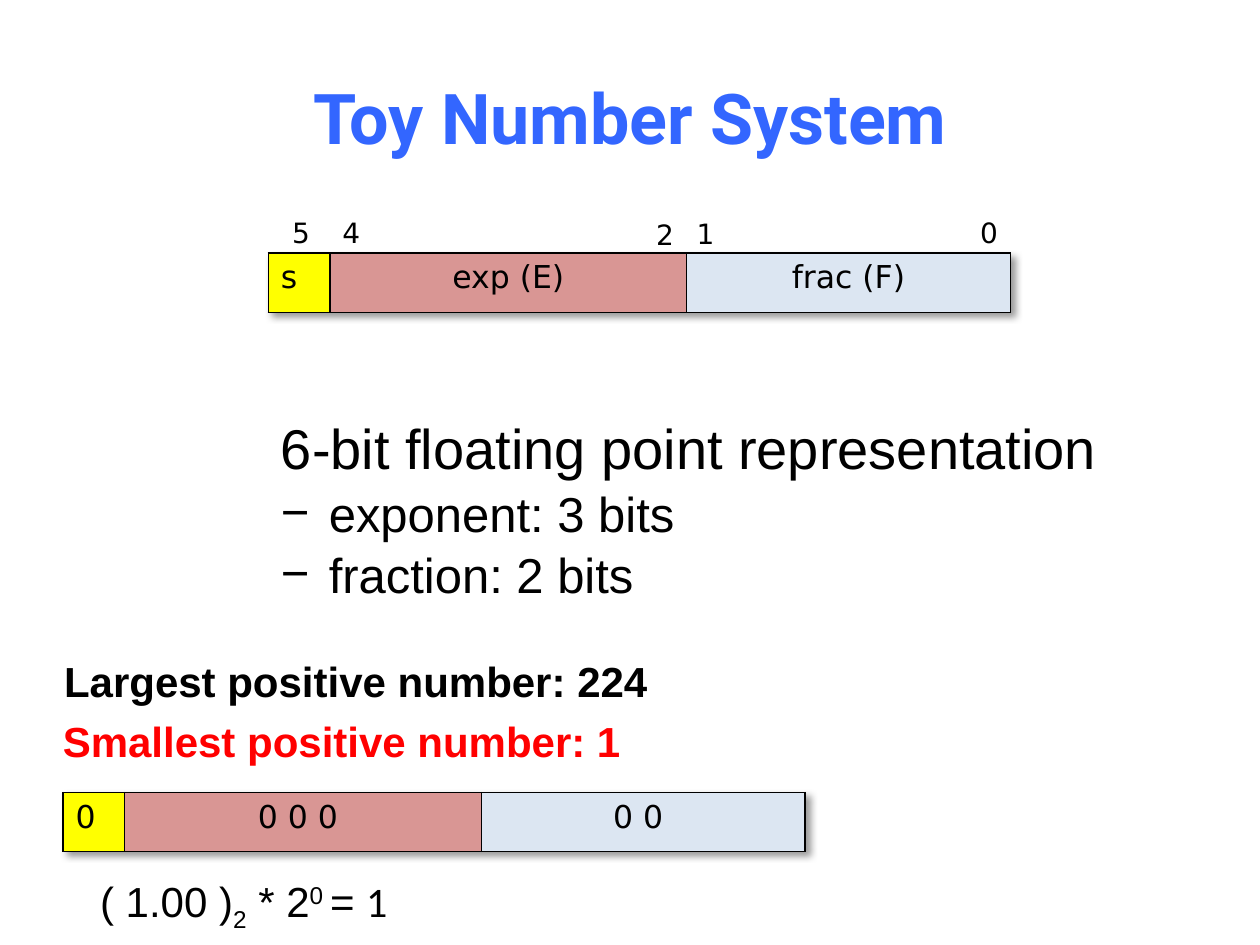
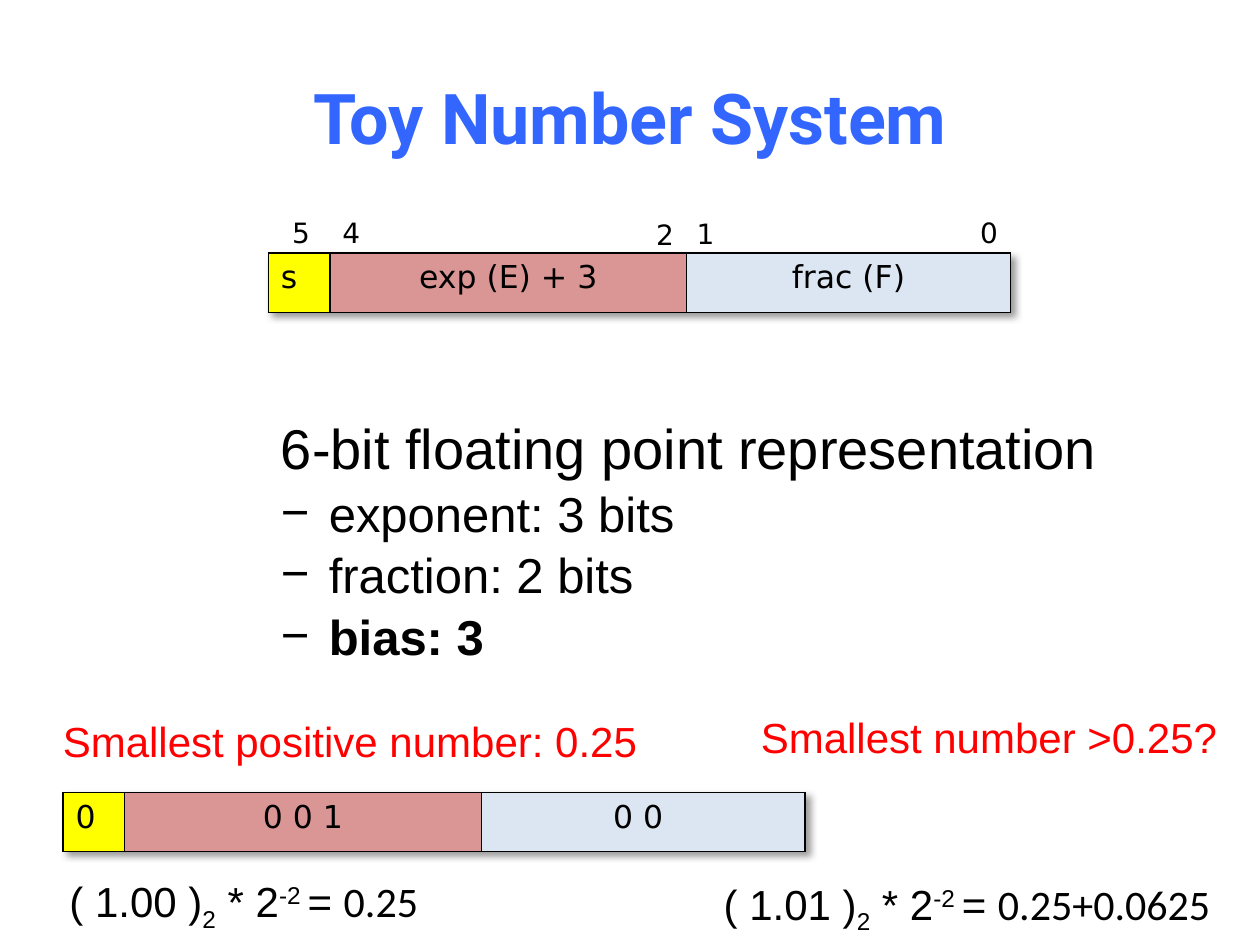
from dataclasses import dataclass

from lxml.etree import SubElement
from pptx import Presentation
from pptx.dml.color import RGBColor
from pptx.enum.text import MSO_ANCHOR, MSO_AUTO_SIZE as AutoSize, PP_ALIGN as Align
from pptx.oxml import parse_xml
from pptx.oxml.ns import nsdecls, qn
from pptx.util import Inches, Pt


@dataclass(frozen=True)
class Theme:
    title_blue: str = "3366FF"
    ink: str = "000000"
    red: str = "FF0000"
    field_fills: tuple = ("FFFF00", "D99694", "DCE6F2")
    title_font: str = "Roboto"
    body_font: str = "Arial"
    field_font: str = "DejaVu Sans"
    result_font: str = "Calibri"
    title_size: int = 40
    heading_size: int = 32
    item_size: int = 28
    line_size: int = 24
    field_size: int = 18
    bit_size: int = 16


THEME = Theme()
WIDTH, HEIGHT = Inches(10), Inches(7.5)
COLUMNS, ROWS = 100, 75

# Grid places shared by both slides
FIELD_COLUMNS = (4.9, 28.3, 25.7)
FIELD_ROWS = 4.7
BIT_PLACES = (("5", 22.2, 16.6), ("4", 26.2, 16.6), ("2", 51.1, 16.8),
              ("1", 54.3, 16.7), ("0", 76.8, 16.6))


def across(columns):
    return round(WIDTH * columns / COLUMNS)


def down(rows):
    return round(HEIGHT * rows / ROWS)


def place(shape, left, top, width, height):
    shape.left, shape.top = across(left), down(top)
    shape.width, shape.height = across(width), down(height)


def add_run(paragraph, text, size, font=THEME.body_font, color=THEME.ink,
            bold=False, baseline=0):
    run = paragraph.add_run()
    run.text = text
    run.font.size = Pt(size)
    run.font.name = font
    run.font.bold = bold
    run.font.color.rgb = RGBColor.from_string(color)
    if baseline:
        run.font._element.set("baseline", str(baseline * 1000))


def add_line(slide, left, top, width, height=5, wrap=False, align=Align.LEFT):
    """Add a text box and return its empty first paragraph."""
    box = slide.shapes.add_textbox(across(left), down(top), across(width), down(height))
    box.text_frame.word_wrap = wrap
    box.text_frame.auto_size = AutoSize.SHAPE_TO_FIT_TEXT
    paragraph = box.text_frame.paragraphs[0]
    paragraph.alignment = align
    return paragraph


def add_statement(slide, text, left, top, width, color=THEME.red, bold=False, wrap=True):
    line = add_line(slide, left, top, width, wrap=wrap)
    add_run(line, text, THEME.line_size, color=color, bold=bold)


def add_formula(slide, mantissa, exponent, value, left, top, width):
    formula = add_line(slide, left, top, width, align=Align.CENTER)
    for text, baseline in ((f"( {mantissa} )", 0), ("2", -25), (" * 2", 0),
                           (f"{exponent} ", 30), ("= ", 0)):
        add_run(formula, text, THEME.line_size, baseline=baseline)
    add_run(formula, value, THEME.line_size, THEME.result_font)


def outline_cell(cell):
    properties = cell._tc.get_or_add_tcPr()
    for side in ("lnL", "lnR", "lnT", "lnB"):
        edge = SubElement(properties, qn(f"a:{side}"), w=str(Pt(1)))
        ink = SubElement(edge, qn("a:solidFill"))
        SubElement(ink, qn("a:srgbClr"), val=THEME.ink)


def add_table_shadow(table):
    table._tbl.tblPr.insert(0, parse_xml(
        f'<a:effectLst {nsdecls("a")}><a:outerShdw blurRad="50800" dist="38100" '
        'dir="2700000" algn="tl" rotWithShape="0"><a:srgbClr val="000000">'
        '<a:alpha val="40000"/></a:srgbClr></a:outerShdw></a:effectLst>'))


def add_number_fields(slide, texts, left, top):
    """Draw the sign, exponent and fraction fields as a one-row table."""
    frame = slide.shapes.add_table(1, len(texts), across(left), down(top),
                                   across(sum(FIELD_COLUMNS)), down(FIELD_ROWS))
    fields = frame.table
    fields.first_row = fields.horz_banding = False
    add_table_shadow(fields)
    for index, (text, columns, fill) in enumerate(
            zip(texts, FIELD_COLUMNS, THEME.field_fills)):
        fields.columns[index].width = across(columns)
        cell = fields.cell(0, index)
        outline_cell(cell)
        cell.fill.solid()
        cell.fill.fore_color.rgb = RGBColor.from_string(fill)
        content = cell.text_frame.paragraphs[0]
        content.alignment = Align.CENTER if index else Align.LEFT
        add_run(content, text, THEME.field_size, THEME.field_font)


def set_bullet(paragraph, bullet=None):
    properties = paragraph._p.get_or_add_pPr()
    indent = Inches(0.38) if bullet else 0
    properties.set("marL", str(indent))
    properties.set("indent", str(-indent))
    if bullet:
        SubElement(properties, qn("a:buChar"), char=bullet)
    else:
        SubElement(properties, qn("a:buNone"))


def fill_title(slide):
    title = slide.shapes.title
    place(title, 5, 3, 90, 12.5)
    title.text_frame.vertical_anchor = MSO_ANCHOR.MIDDLE
    heading = title.text_frame.paragraphs[0]
    heading.alignment = Align.CENTER
    add_run(heading, "Toy Number System", THEME.title_size, THEME.title_font,
            THEME.title_blue, bold=True)


def fill_format_list(slide, items, height):
    body = slide.placeholders[1]
    place(body, 21.3, 32.3, 72.7, height)
    frame = body.text_frame
    frame.auto_size = AutoSize.NONE
    heading = frame.paragraphs[0]
    set_bullet(heading)
    heading.space_before = Pt(0)
    add_run(heading, "6-bit floating point representation", THEME.heading_size)
    for text, bold in items:
        item = frame.add_paragraph()
        set_bullet(item, "−")
        item.space_before = Pt(1.5)
        add_run(item, text, THEME.item_size, bold=bold)


def add_number_slide(deck, exponent_label, items, list_rows, example):
    """Build the title, labelled format, list and worked example of a slide."""
    slide = deck.slides.add_slide(deck.slide_layouts[1])
    fill_title(slide)
    add_number_fields(slide, ("s", exponent_label, "frac (F)"), 21.3, 20.1)
    for bit, left, top in BIT_PLACES:
        add_run(add_line(slide, left, top, 3.4, 3.7), bit, THEME.bit_size, THEME.field_font)
    fill_format_list(slide, items, list_rows)
    add_number_fields(slide, example, 5, 62.9)
    return slide


def main():
    deck = Presentation()
    deck.slide_width, deck.slide_height = WIDTH, HEIGHT
    sizes = [("exponent: 3 bits", False), ("fraction: 2 bits", False)]

    # Exponent without bias
    plain = add_number_slide(deck, "exp (E)", sizes, 15.8, ("0", "0 0 0 ", "0 0 "))
    add_statement(plain, "Largest positive number: 224", 4.1, 51.5, 80.2, THEME.ink, bold=True)
    add_statement(plain, "Smallest positive number: 1", 4, 56.3, 80.2, bold=True)
    add_formula(plain, "1.00", "0", "1", 6.6, 69, 25.5)

    # Exponent with a bias of 3
    biased = add_number_slide(deck, "exp (E) + 3", sizes + [("bias: 3", True)], 20.5,
                              ("0", "0 0 1", "0 0 "))
    add_statement(biased, "Smallest positive number: 0.25", 4, 56.3, 80.2)
    add_formula(biased, "1.00", "-2", "0.25", 4.1, 69, 30.5)
    add_statement(biased, "Smallest number >0.25?", 59.4, 56, 38.6, wrap=False)
    add_formula(biased, "1.01", "-2", "0.25+0.0625", 56, 69.2, 41.5)

    deck.save("out.pptx")


if __name__ == "__main__":
    main()
